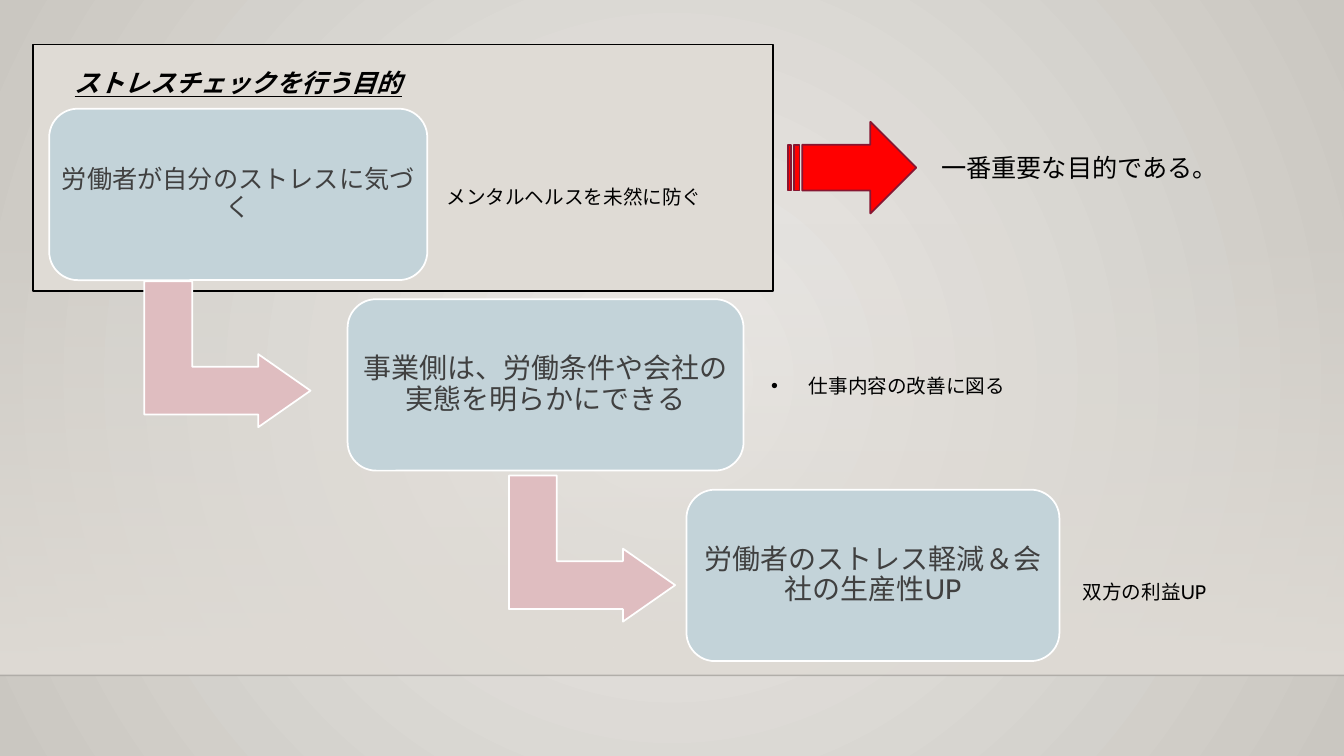
from lxml import etree
from pptx import Presentation
from pptx import util as u
from pptx.dml.color import RGBColor
from pptx.enum import shapes, text
from pptx.oxml.ns import qn

BLACK = RGBColor(0x00, 0x00, 0x00)
WHITE = RGBColor(0xFF, 0xFF, 0xFF)
CHARCOAL = RGBColor(0x40, 0x40, 0x40)
GLOW = RGBColor(0xEC, 0xEA, 0xE7)
EDGE = RGBColor(0xCA, 0xC7, 0xC1)
SAND = RGBColor(0xDF, 0xDB, 0xD5)
PINK = RGBColor(0xDF, 0xBD, 0xC0)
BLUE = RGBColor(0xC3, 0xD3, 0xD9)
RED = RGBColor(0xFF, 0x00, 0x00)
WINE = RGBColor(0x87, 0x16, 0x31)

deck = Presentation()
deck.slide_width, deck.slide_height = u.Cm(33.87), u.Cm(19.05)
slide = deck.slides.add_slide(deck.slide_layouts[4])


def add_block(kind, box, fill, line):
    block = slide.shapes.add_shape(kind, *map(u.Cm, box))
    block.shadow.inherit = False
    block.fill.solid()
    block.fill.fore_color.rgb = fill
    block.line.color.rgb = line
    block.line.width = u.Pt(1.25)
    return block


def write(holder, words, size, color, align, margins, wrap=True):
    frame = holder.text_frame
    frame.word_wrap = wrap
    frame.auto_size = text.MSO_AUTO_SIZE.NONE
    frame.vertical_anchor = text.MSO_ANCHOR.MIDDLE
    frame.margin_left = frame.margin_right = u.Cm(margins[0])
    frame.margin_top = frame.margin_bottom = u.Cm(margins[1])
    frame.text = words
    paragraph = frame.paragraphs[0]
    paragraph.alignment = align
    paragraph.space_before = u.Pt(0)
    paragraph.font.name = "Cabin"
    paragraph.font.size = u.Pt(size)
    paragraph.font.bold = False
    paragraph.font.color.rgb = color
    return paragraph


backdrop = slide.background.fill
backdrop.gradient()
for stop, color in zip(backdrop.gradient_stops, (GLOW, EDGE)):
    stop.color.rgb = color
linear = slide.element.find(".//" + qn("a:lin"))
radial = etree.SubElement(linear.getparent(), qn("a:path"), path="circle")
etree.SubElement(radial, qn("a:fillToRect"), l="50000", t="50000", r="50000", b="50000")
linear.getparent().replace(linear, radial)

wall = add_block(shapes.MSO_SHAPE.RECTANGLE, (0, 5.61, 33.87, 11.41), SAND, SAND)
wall.line.fill.background()
wall.fill.gradient()
wall.fill.gradient_angle = 270
for stop in wall.fill.gradient_stops:
    stop.color.rgb = SAND
etree.SubElement(wall.element.find(".//" + qn("a:srgbClr")), qn("a:alpha"), val="0")

floor = slide.shapes.add_connector(
    shapes.MSO_CONNECTOR.STRAIGHT, 0, u.Cm(17.02), deck.slide_width, u.Cm(17.02))
floor.line.color.rgb = BLACK
floor.line.width = u.Pt(1)
etree.SubElement(floor.element.find(".//" + qn("a:srgbClr")), qn("a:alpha"), val="20000")
etree.SubElement(floor.element.spPr, qn("a:effectLst"))

add_block(shapes.MSO_SHAPE.RECTANGLE, (0.84, 1.12, 18.64, 6.22), SAND, BLACK)

for row, left in enumerate((3.89, 13.08)):
    bend = add_block(shapes.MSO_SHAPE.BENT_UP_ARROW,
                     (left, 6.83 + 4.9 * row, 3.68, 4.19), PINK, WHITE)
    bend.rotation = 90
    bend.adjustments[0] = 0.328
    bend.adjustments[1] = 0.25
    bend.adjustments[2] = 0.358

steps = [
    ("労働者が自分のストレスに気づく", 18, 1.24, 9.53,
     "メンタルヘルスを未然に防ぐ", (11.1, 3.23, 8, 3.51)),
    ("事業側は、労働条件や会社の実態を明らかにできる", 20, 8.76, 9.98,
     "仕事内容の改善に図る", (19.28, 8, 7.52, 3.51)),
    ("労働者のストレス軽減＆会社の生産性UP", 20, 17.3, 9.4,
     "双方の利益UP", (27.13, 13.18, 4.19, 3.51)),
]
for row, (aim, size, left, width, benefit, place) in enumerate(steps):
    card = add_block(shapes.MSO_SHAPE.ROUNDED_RECTANGLE,
                     (left, 2.74 + 4.8 * row, width, 4.32), BLUE, WHITE)
    write(card, aim, size, CHARCOAL, text.PP_ALIGN.CENTER, (0, 0)).line_spacing = 0.9

    note = slide.placeholders[row + 1]
    note.left, note.top, note.width, note.height = map(u.Cm, place)
    note.element.getparent().append(note.element)
    indent = note.text_frame.paragraphs[0]._p.get_or_add_pPr()
    indent.set("marL", str(u.Cm(0.3)))
    indent.set("indent", str(-u.Cm(0.3)))
    etree.SubElement(indent, qn("a:buChar"), char="•")
    write(note, benefit, 14, BLACK, text.PP_ALIGN.LEFT, (0.15, 0.15)).line_spacing = 0.9

spare = slide.placeholders[4].element
spare.getparent().remove(spare)

purpose = slide.shapes.title
purpose.left, purpose.top, purpose.width, purpose.height = map(u.Cm, (1.63, 1.57, 8.84, 1.02))
purpose.element.getparent().append(purpose.element)
heading = write(purpose, "ストレスチェックを行う目的", 18, BLACK,
                text.PP_ALIGN.LEFT, (0.25, 0.13), wrap=False)
heading.font.bold = heading.font.italic = heading.font.underline = True

add_block(shapes.MSO_SHAPE.STRIPED_RIGHT_ARROW, (19.86, 3.07, 3.23, 2.31), RED, WINE)

remark = slide.shapes.add_textbox(*map(u.Cm, (23.47, 3.71, 7.57, 1.02)))
write(remark, "一番重要な目的である。", 18, BLACK, text.PP_ALIGN.LEFT, (0.25, 0.13), wrap=False)

deck.save("out.pptx")
